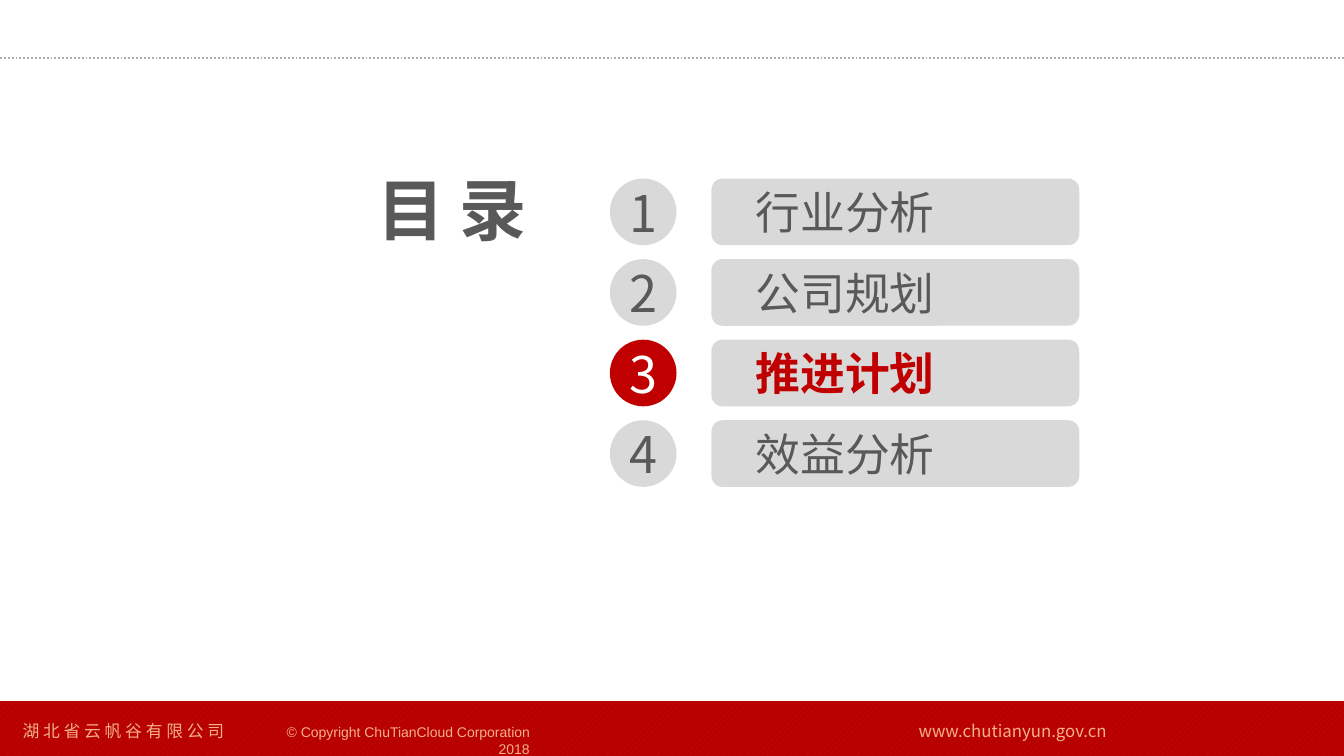
import pptx
import pptx.dml.color
import pptx.enum.dml
import pptx.enum.shapes
import pptx.enum.text
import pptx.oxml
import pptx.util
from pptx.util import Cm

RGB = pptx.dml.color.RGBColor
KIND = pptx.enum.shapes.MSO_SHAPE
ALIGN = pptx.enum.text.PP_ALIGN
ANCHOR = pptx.enum.text.MSO_ANCHOR

DARK = RGB(0x59, 0x59, 0x59)
PALE = RGB(0xD9, 0xD9, 0xD9)
RED = RGB(0xC0, 0x00, 0x00)
WHITE = RGB(0xFF, 0xFF, 0xFF)
PEACH = RGB(0xF4, 0xB1, 0x83)
RULE = RGB(0xAF, 0xAB, 0xAB)
BAND = RGB(0xB8, 0x00, 0x00)
HATCH = RGB(0xBD, 0x15, 0x15)

SANS = "Noto Sans CJK SC"
WIDE, HIGH = Cm(33.87), Cm(19.05)
TOPICS = ["行业分析", "公司规划", "推进计划", "效益分析"]
ACTIVE = 3
TOP, STEP, SIZE = 4.5, 2.03, 1.68


def write(shape, text, size, color, bold=False, font=SANS,
          align=ALIGN.CENTER, anchor=ANCHOR.MIDDLE, wrap=True):
    frame = shape.text_frame
    frame.auto_size = pptx.enum.text.MSO_AUTO_SIZE.NONE
    frame.word_wrap = wrap
    frame.vertical_anchor = anchor
    para = frame.paragraphs[0]
    para.alignment = align
    run = para.add_run()
    run.text = text
    run.font.name = font
    run.font.size = pptx.util.Pt(size)
    run.font.bold = bold
    run.font.color.rgb = color
    # East Asian glyphs take their own typeface
    props = run._r.get_or_add_rPr()
    east = props.makeelement(pptx.oxml.ns.qn("a:ea"), {"typeface": font})
    props.find(pptx.oxml.ns.qn("a:latin")).addnext(east)


def add_text(slide, place, text, size, color, **style):
    box = slide.shapes.add_textbox(*map(Cm, place))
    write(box, text, size, color, **style)


def add_block(slide, kind, place, fill):
    block = slide.shapes.add_shape(kind, *map(Cm, place))
    block.shadow.inherit = False
    block.line.fill.background()
    block.fill.solid()
    block.fill.fore_color.rgb = fill
    return block


def add_rule(slide):
    rule = slide.shapes.add_connector(
        pptx.enum.shapes.MSO_CONNECTOR.STRAIGHT, 0, Cm(1.46), WIDE, Cm(1.46))
    rule.line.color.rgb = RULE
    rule.line.width = pptx.util.Pt(1.4)
    rule.line.dash_style = pptx.enum.dml.MSO_LINE.ROUND_DOT
    props = rule._element.spPr
    props.append(props.makeelement(pptx.oxml.ns.qn("a:effectLst"), {}))


def add_footer(slide):
    band = add_block(slide, KIND.RECTANGLE, (0, 17.67, 33.87, 1.38), BAND)
    band.fill.patterned()
    band.fill.pattern = pptx.enum.dml.MSO_PATTERN.WIDE_UPWARD_DIAGONAL
    band.fill.fore_color.rgb = HATCH
    band.fill.back_color.rgb = BAND
    for left, text in ((0.32, "湖 北 省 云 帆 谷 有 限 公 司"),
                       (22.9, "www.chutianyun.gov.cn")):
        add_text(slide, (left, 18.03, 5.8, 0.79), text, 12, PEACH,
                 align=ALIGN.LEFT, wrap=False)
    add_text(slide, (6.2, 18.11, 7.4, 0.61),
             "© Copyright ChuTianCloud Corporation 2018", 10, PEACH,
             font="Arial", align=ALIGN.RIGHT, anchor=ANCHOR.TOP)


def add_title(slide, text):
    title = slide.shapes.title
    title.left, title.top = Cm(8.79), Cm(4.11)
    title.width, title.height = Cm(5.21), Cm(2.31)
    write(title, text, 48, DARK, bold=True)


def add_topic(slide, number, text):
    """Draw one row: numbered disc, bar and label."""
    top = TOP + (number - 1) * STEP
    on = number == ACTIVE
    disc = add_block(slide, KIND.OVAL, (15.37, top, SIZE, SIZE),
                     RED if on else PALE)
    write(disc, str(number), 36, WHITE if on else DARK, wrap=False)
    add_block(slide, KIND.ROUNDED_RECTANGLE, (17.93, top, 9.27, SIZE), PALE)
    add_text(slide, (18.44, top, 5.72, SIZE), text, 32,
             RED if on else DARK, bold=on)


def main():
    deck = pptx.Presentation()
    deck.slide_width, deck.slide_height = WIDE, HIGH
    slide = deck.slides.add_slide(deck.slide_layouts.get_by_name("Title Only"))
    add_rule(slide)
    add_footer(slide)
    add_title(slide, "目 录")
    for number, text in enumerate(TOPICS, 1):
        add_topic(slide, number, text)
    deck.save("out.pptx")


if __name__ == "__main__":
    main()
